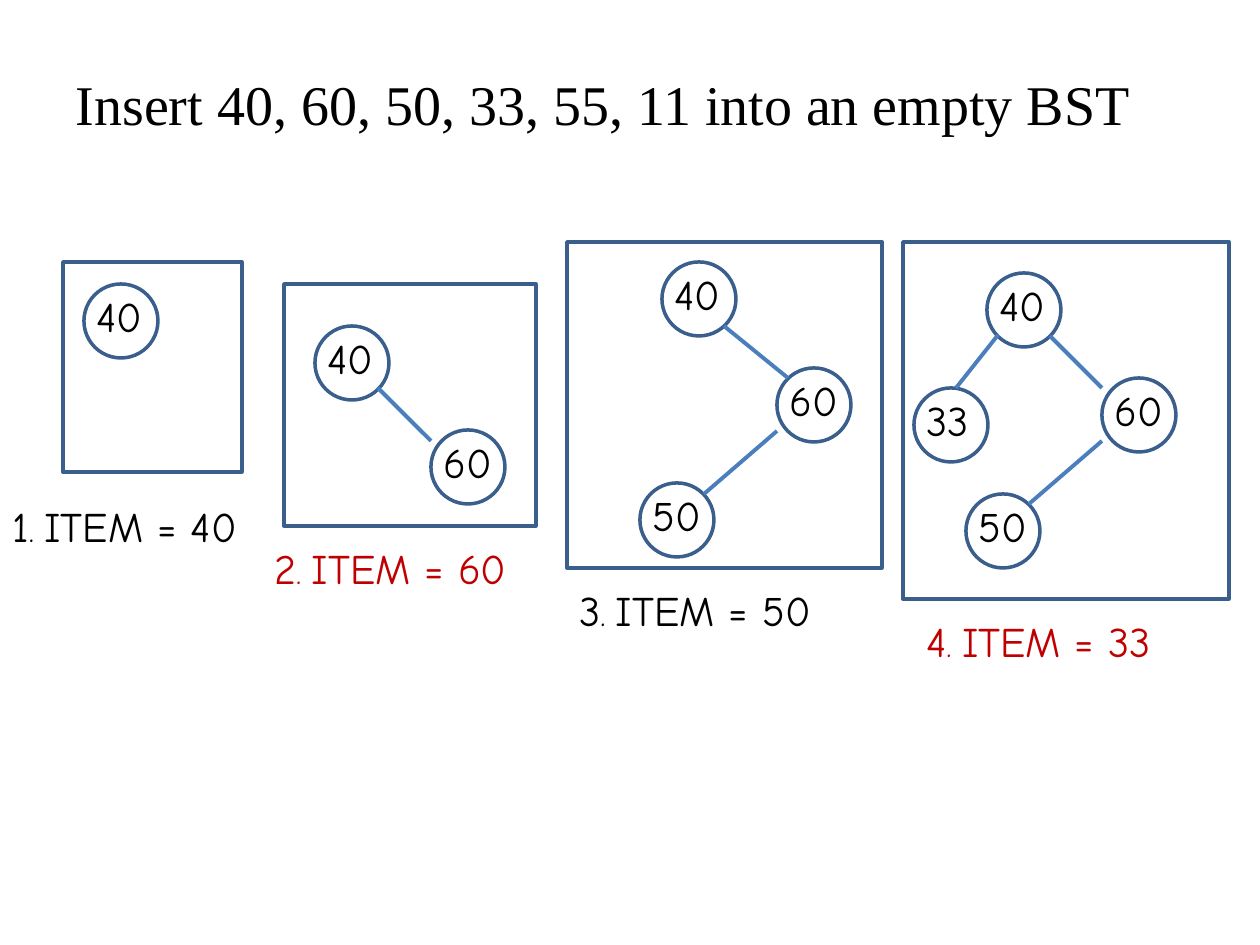
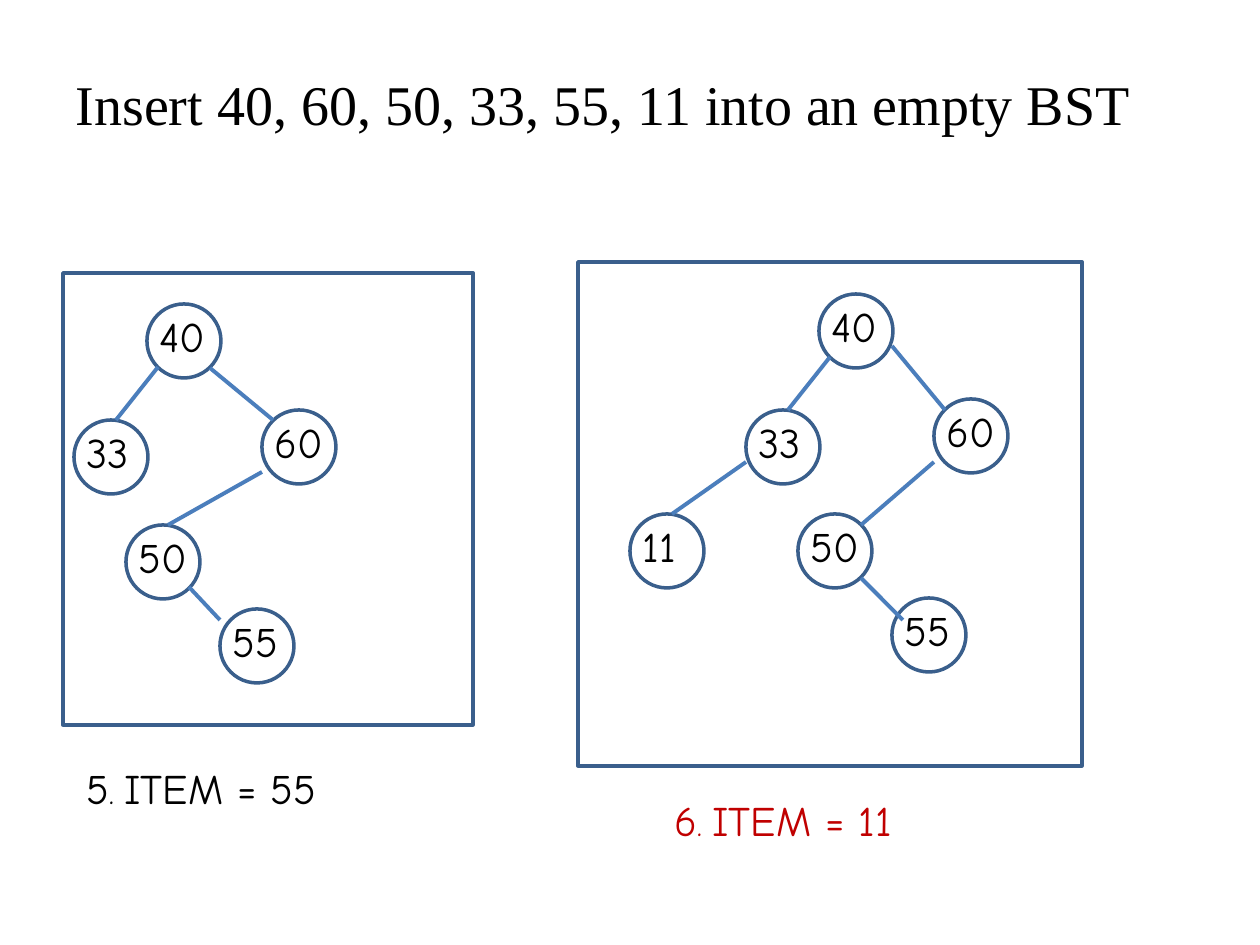
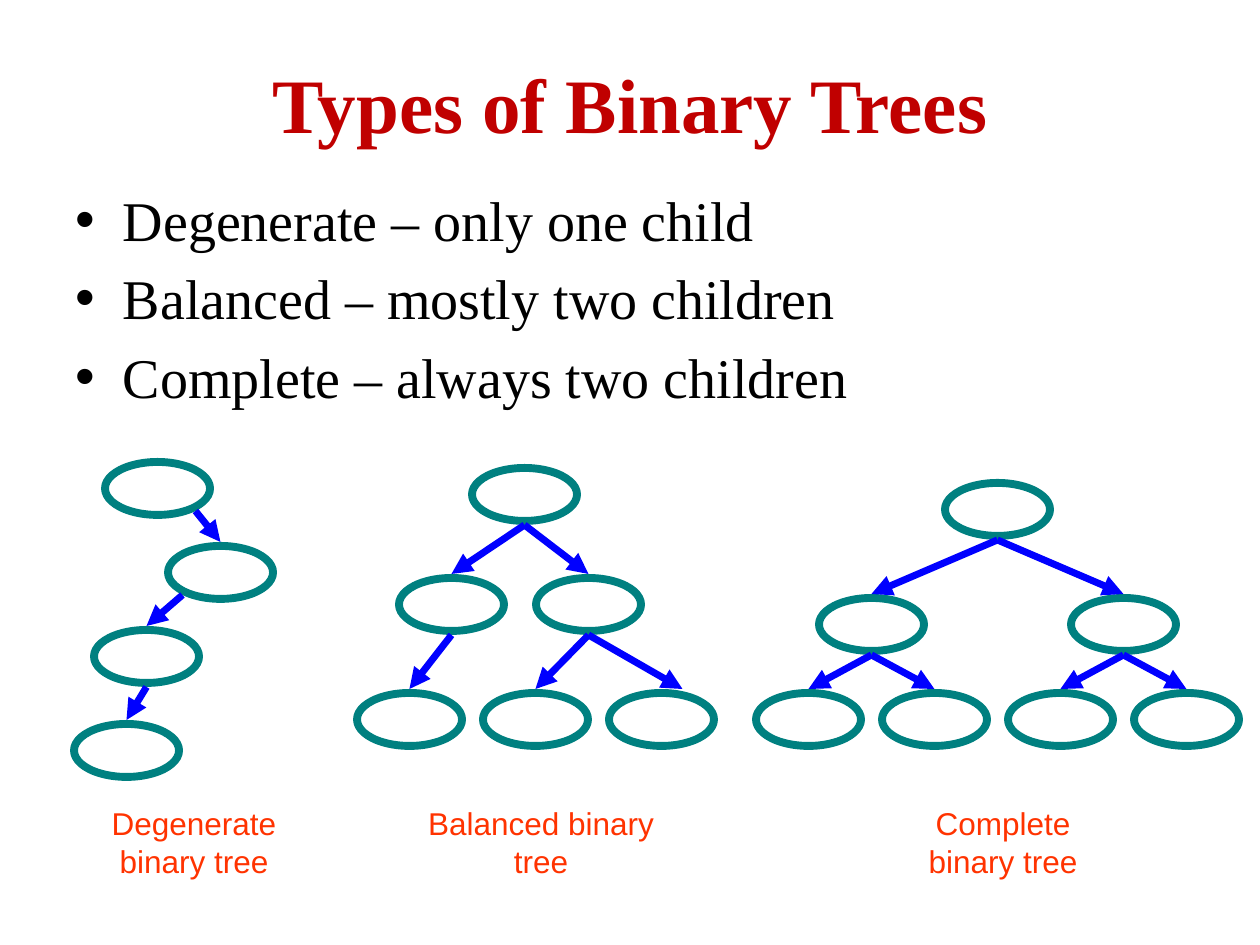
from lxml.etree import SubElement
from pptx import Presentation
from pptx.dml.color import RGBColor
from pptx.enum.shapes import MSO_CONNECTOR as Connector, MSO_SHAPE as Shape
from pptx.enum.text import MSO_ANCHOR as Anchor, MSO_AUTO_SIZE as AutoSize, PP_ALIGN as Align
from pptx.oxml.ns import qn
from pptx.util import Pt

# Shared look
PX = 914400 // 126
BLACK = RGBColor(0x00, 0x00, 0x00)
RED = RGBColor(0xC0, 0x00, 0x00)
ORANGE = RGBColor(0xFF, 0x33, 0x00)
NAVY = RGBColor(0x3A, 0x5F, 0x8C)
STEEL = RGBColor(0x4B, 0x7E, 0xBC)
TEAL = RGBColor(0x00, 0x80, 0x80)
BLUE = RGBColor(0x00, 0x00, 0xFF)
TITLE_FONT = dict(name="Times New Roman", size=Pt(44), bold=True)
BODY_FONT = dict(name="Times New Roman", size=Pt(32))
KEY_FONT = dict(name="Comic Neue", size=Pt(24))
DOT_FONT = dict(name="Comic Neue", size=Pt(18))
CAPTION_FONT = dict(name="Arial", size=Pt(18))

# Insertion steps: node corners by key, edges as x1, y1, x2, y2
INSERT_HEADING = "Insert 40, 60, 50, 33, 55, 11 into an empty BST"
INSERT_SLIDES = [
    [
        dict(item=40, frame=(63, 262, 179, 210), caption=(0, 494),
             nodes={40: (84, 284)}, edges=[]),
        dict(item=60, frame=(284, 284, 252, 242), caption=(262, 536),
             nodes={40: (315, 326), 60: (431, 430)},
             edges=[(378, 388, 431, 441)]),
        dict(item=50, frame=(567, 242, 315, 326), caption=(567, 578),
             nodes={40: (662, 262), 60: (777, 368), 50: (640, 483)},
             edges=[(724, 326, 788, 378), (704, 494, 777, 431)]),
        dict(item=33, frame=(903, 242, 326, 357), caption=(914, 609),
             nodes={40: (987, 273), 60: (1102, 378), 50: (966, 494), 33: (914, 388)},
             edges=[(1050, 336, 1102, 388), (1029, 504, 1102, 441), (956, 388, 998, 335)]),
    ],
    [
        dict(item=55, frame=(63, 273, 410, 452), caption=(74, 756),
             nodes={40: (147, 304), 60: (262, 410), 50: (126, 525),
                    33: (74, 420), 55: (220, 609)},
             edges=[(158, 367, 116, 420), (210, 368, 273, 420),
                    (262, 472, 168, 525), (189, 587, 220, 620)]),
        dict(item=11, frame=(578, 262, 504, 504), caption=(662, 788),
             nodes={40: (819, 294), 60: (934, 399), 50: (798, 514),
                    33: (746, 410), 55: (892, 598), 11: (630, 514)},
             edges=[(830, 357, 788, 410), (746, 462, 672, 514), (892, 346, 945, 410),
                    (934, 462, 861, 525), (861, 578, 903, 620)]),
    ],
]
NODE = 74
KEY_BOX = (84, 63)
STEP_BOX = (284, 63)

# Tree types: edges as parent, child, shift of the start, shift of the end
TYPES_TITLE = "Types of Binary Trees"
TYPES = ["Degenerate – only one child", "Balanced – mostly two children",
         "Complete – always two children"]
TREES = [
    dict(caption="Degenerate binary tree", left=63,
         nodes=[(105, 462), (168, 546), (94, 630), (74, 724)],
         edges=[(0, 1, 38, 0), (1, 2, -38, 0), (2, 3, 0, 0)]),
    dict(caption="Balanced binary tree", left=410,
         nodes=[(472, 468), (399, 578), (536, 578), (357, 693), (483, 693), (609, 693)],
         edges=[(0, 1, 0, 0), (0, 2, 0, 0), (1, 3, 0, 0), (2, 4, 0, 0), (2, 5, 0, 21)]),
    dict(caption="Complete\vbinary tree", left=872,
         nodes=[(945, 483), (819, 598), (1071, 598)] + [(756 + 126 * i, 693) for i in range(4)],
         edges=[(0, 1, 0, 0), (0, 2, 0, 0), (1, 3, 0, 0), (1, 4, 0, 0),
                (2, 5, 0, 0), (2, 6, 0, 0)]),
]
OVAL = (105, 53)
ARROW_GAP = 4
SIDE_RISE = 8


def emu(*lengths):
    return [round(length * PX) for length in lengths]


def style_runs(paragraph, font, colour):
    for run in paragraph.runs:
        for key, value in font.items():
            setattr(run.font, key, value)
        run.font.color.rgb = colour


def fill_placeholder(holder, box, lines, font, colour):
    for key, value in zip(("left", "top", "width", "height"), emu(*box)):
        setattr(holder, key, value)
    holder.text_frame.text = "\n".join(lines)
    for paragraph in holder.text_frame.paragraphs:
        style_runs(paragraph, font, colour)


def add_label(shapes, box, pieces, colour, align=Align.LEFT):
    """Text box with one paragraph of (text, font) pieces."""
    frame = shapes.add_textbox(*emu(*box)).text_frame
    frame.word_wrap = True
    frame.auto_size = AutoSize.SHAPE_TO_FIT_TEXT
    paragraph = frame.paragraphs[0]
    paragraph.alignment = align
    for text, font in pieces:
        first, *rest = text.split("\v")
        paragraph.add_run().text = first
        for part in rest:
            paragraph.add_line_break()
            paragraph.add_run().text = part
        for run in paragraph.runs[-1 - len(rest):]:
            for key, value in font.items():
                setattr(run.font, key, value)
            run.font.color.rgb = colour


def add_outline(shapes, kind, box, colour, width):
    outline = shapes.add_shape(kind, *emu(*box))
    outline.shadow.inherit = False
    outline.fill.background()
    outline.line.color.rgb = colour
    outline.line.width = Pt(width)


def add_edge(shapes, ends, colour, width, arrow=False):
    edge = shapes.add_connector(Connector.STRAIGHT, *emu(*ends))
    edge.line.color.rgb = colour
    edge.line.width = Pt(width)
    properties = edge.line._get_or_add_ln().getparent()
    if arrow:
        SubElement(properties.find(qn("a:ln")), qn("a:tailEnd"), type="triangle")
    SubElement(properties, qn("a:effectLst"))


def add_step(slide, number, step):
    shapes = slide.shapes.add_group_shape().shapes
    add_outline(shapes, Shape.RECTANGLE, step["frame"], NAVY, 2)
    for key, corner in step["nodes"].items():
        add_outline(shapes, Shape.OVAL, (*corner, NODE, NODE), NAVY, 2)
        add_label(shapes, (*corner, *KEY_BOX), [(str(key), KEY_FONT)], BLACK)
    for ends in step["edges"]:
        add_edge(shapes, ends, STEEL, 2.25)
    pieces = [(str(number), KEY_FONT), (". ", DOT_FONT), (f"ITEM = {step['item']}", KEY_FONT)]
    add_label(shapes, (*step["caption"], *STEP_BOX), pieces, BLACK if number % 2 else RED)


def add_tree(slide, tree):
    width, height = OVAL
    for corner in tree["nodes"]:
        add_outline(slide.shapes, Shape.OVAL, (*corner, *OVAL), TEAL, 4.5)
    for parent, child, start_shift, end_shift in tree["edges"]:
        (x1, y1), (x2, y2) = tree["nodes"][parent], tree["nodes"][child]
        rise = SIDE_RISE if start_shift else 0
        ends = (x1 + width / 2 + start_shift, y1 + height + ARROW_GAP - rise,
                x2 + width / 2 + end_shift, y2 - ARROW_GAP)
        add_edge(slide.shapes, ends, BLUE, 4, arrow=True)
    add_label(slide.shapes, (tree["left"], 798, 262, 113),
              [(tree["caption"], CAPTION_FONT)], ORANGE, Align.CENTER)


deck = Presentation()
deck.slide_width, deck.slide_height = emu(1260, 945)
title_and_body = deck.slide_layouts[1]

# Insertion slides
number = 0
for steps in INSERT_SLIDES:
    slide = deck.slides.add_slide(title_and_body)
    unused_title = slide.shapes.title.element
    unused_title.getparent().remove(unused_title)
    heading = slide.placeholders[1]
    fill_placeholder(heading, (63, 63, 1166, 819), [INSERT_HEADING], BODY_FONT, BLACK)
    SubElement(heading.text_frame.paragraphs[0]._p.get_or_add_pPr(), qn("a:buNone"))
    for step in steps:
        number += 1
        add_step(slide, number, step)

# Tree types slide
slide = deck.slides.add_slide(title_and_body)
title = slide.shapes.title
fill_placeholder(title, (63, 38, 1134, 130), [TYPES_TITLE], TITLE_FONT, RED)
title.text_frame.vertical_anchor = Anchor.MIDDLE
fill_placeholder(slide.placeholders[1], (63, 179, 1134, 624), TYPES, BODY_FONT, BLACK)
for tree in TREES:
    add_tree(slide, tree)

deck.save("out.pptx")
